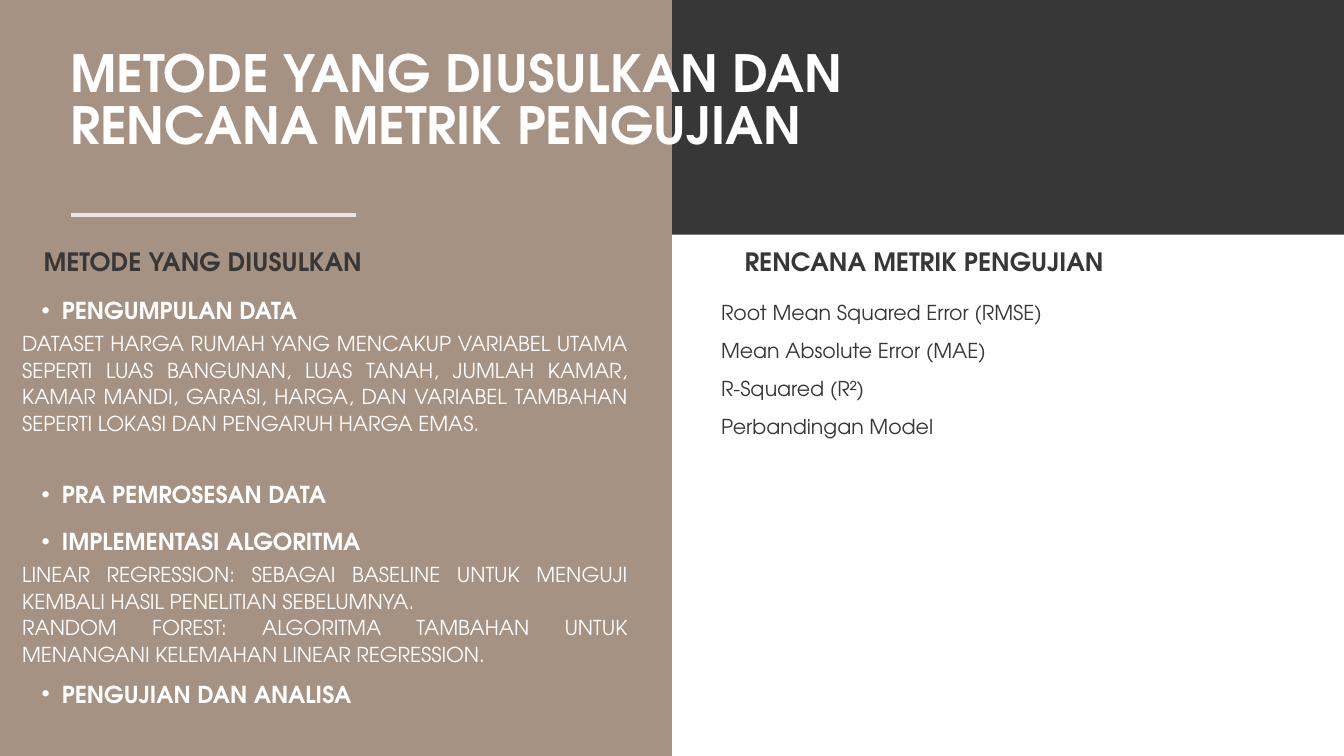
from lxml.etree import SubElement
from pptx import Presentation
from pptx.dml.color import RGBColor
from pptx.enum.shapes import MSO_CONNECTOR, MSO_SHAPE
from pptx.enum.text import MSO_ANCHOR, MSO_AUTO_SIZE, PP_ALIGN
from pptx.oxml.ns import qn
from pptx.util import Inches, Pt

THEME = {
    "font": "TeX Gyre Adventor",
    "dark": RGBColor(0x37, 0x37, 0x37),
    "brown": RGBColor(0xA6, 0x92, 0x82),
    "rule": RGBColor(0xE8, 0xE6, 0xE9),
    "white": RGBColor(0xFF, 0xFF, 0xFF),
}
STYLES = {
    "title": {"size": 55, "line": 55, "bold": True, "color": "white"},
    "heading": {"size": 27, "line": 32.4, "bold": True, "color": "dark"},
    "step": {"size": 25, "line": 30, "bold": True, "color": "white", "bullet": True},
    "detail": {"size": 22, "line": 28.6, "color": "white", "align": PP_ALIGN.JUSTIFY},
    "metric": {"size": 22, "line": 30.8, "color": "dark"},
}

TITLE = "METODE YANG DIUSULKAN DAN RENCANA METRIK PENGUJIAN"
METHOD_HEADING = "METODE YANG DIUSULKAN"
METRIC_HEADING = "RENCANA METRIK PENGUJIAN"
METHODS = [
    ("step", "PENGUMPULAN DATA", 0),
    ("detail", "DATASET HARGA RUMAH YANG MENCAKUP VARIABEL UTAMA SEPERTI LUAS BANGUNAN, "
     "LUAS TANAH, JUMLAH KAMAR, KAMAR MANDI, GARASI, HARGA, DAN VARIABEL TAMBAHAN "
     "SEPERTI LOKASI DAN PENGARUH HARGA EMAS.", 5),
    ("step", "PRA PEMROSESAN DATA", 48),
    ("step", "IMPLEMENTASI ALGORITMA", 20),
    ("detail", "LINEAR REGRESSION: SEBAGAI BASELINE UNTUK MENGUJI KEMBALI HASIL "
     "PENELITIAN SEBELUMNYA.", 5),
    ("detail", "RANDOM FOREST: ALGORITMA TAMBAHAN UNTUK MENANGANI KELEMAHAN "
     "LINEAR REGRESSION.", 0),
    ("step", "PENGUJIAN DAN ANALISA", 14),
]
METRICS = [
    "Root Mean Squared Error (RMSE)",
    "Mean Absolute Error (MAE)",
    "R-Squared (R²)",
    "Perbandingan Model",
]
METRIC_GAP = 9.8

BANDS = [("dark", (0, 0, 20, 3.49)), ("brown", (-0.18, -0.17, 10.18, 11.53))]


def format_paragraph(paragraph, style, space_before):
    paragraph.alignment = style.get("align", PP_ALIGN.LEFT)
    paragraph.line_spacing = Pt(style["line"])
    paragraph.space_before = Pt(space_before)
    paragraph.space_after = Pt(0)
    bullet = style.get("bullet", False)
    paragraph.level = 1 if bullet else 0
    properties = paragraph._p.get_or_add_pPr()
    properties.set("marL", str(Inches(0.59) if bullet else 0))
    properties.set("indent", str(Inches(-0.3) if bullet else 0))
    if bullet:
        SubElement(properties, qn("a:buFont"), typeface="Arial")
        SubElement(properties, qn("a:buChar"), char="•")
    else:
        SubElement(properties, qn("a:buNone"))
    for run in paragraph.runs:
        run.font.name = THEME["font"]
        run.font.size = Pt(style["size"])
        run.font.bold = style.get("bold", False)
        run.font.color.rgb = THEME[style["color"]]


def fill_placeholder(shape, box, items):
    shape.left, shape.top, shape.width, shape.height = map(Inches, box)
    frame = shape.text_frame
    frame.margin_left = frame.margin_top = frame.margin_right = frame.margin_bottom = 0
    frame.word_wrap = True
    frame.auto_size = MSO_AUTO_SIZE.NONE
    frame.vertical_anchor = MSO_ANCHOR.TOP
    frame.text = "\n".join(text for _, text, _ in items)
    for paragraph, (style, _, space_before) in zip(frame.paragraphs, items):
        format_paragraph(paragraph, STYLES[style], space_before)


def add_bands(slide):
    for layer, (color, box) in enumerate(BANDS):
        band = slide.shapes.add_shape(MSO_SHAPE.RECTANGLE, *map(Inches, box))
        band.shadow.inherit = False
        band.fill.solid()
        band.fill.fore_color.rgb = THEME[color]
        band.line.fill.background()
        slide.shapes._spTree.insert(2 + layer, band._element)


def add_title_rule(slide):
    rule = slide.shapes.add_connector(
        MSO_CONNECTOR.STRAIGHT, Inches(5.3), Inches(3.2), Inches(1.05), Inches(3.2))
    rule.line.color.rgb = THEME["rule"]
    rule.line.width = Pt(5.25)
    SubElement(rule._element.spPr, qn("a:effectLst"))


def main():
    presentation = Presentation()
    presentation.slide_width = Inches(20)
    presentation.slide_height = Inches(11.25)
    slide = presentation.slides.add_slide(
        presentation.slide_layouts.get_by_name("Comparison"))

    add_bands(slide)
    add_title_rule(slide)
    title, left_heading, left_list, right_heading, right_list = slide.placeholders
    fill_placeholder(title, (1.05, 0.77, 12.76, 2.32), [("title", TITLE, 0)])
    fill_placeholder(left_heading, (0.65, 3.67, 6.08, 0.46),
                     [("heading", METHOD_HEADING, 0)])
    fill_placeholder(right_heading, (11.08, 3.67, 6.08, 0.46),
                     [("heading", METRIC_HEADING, 0)])
    fill_placeholder(left_list, (0.33, 4.41, 9.01, 6.12), METHODS)
    fill_placeholder(right_list, (10.73, 4.4, 6.18, 2.11),
                     [("metric", text, METRIC_GAP if row else 0)
                      for row, text in enumerate(METRICS)])
    presentation.save("out.pptx")


if __name__ == "__main__":
    main()
